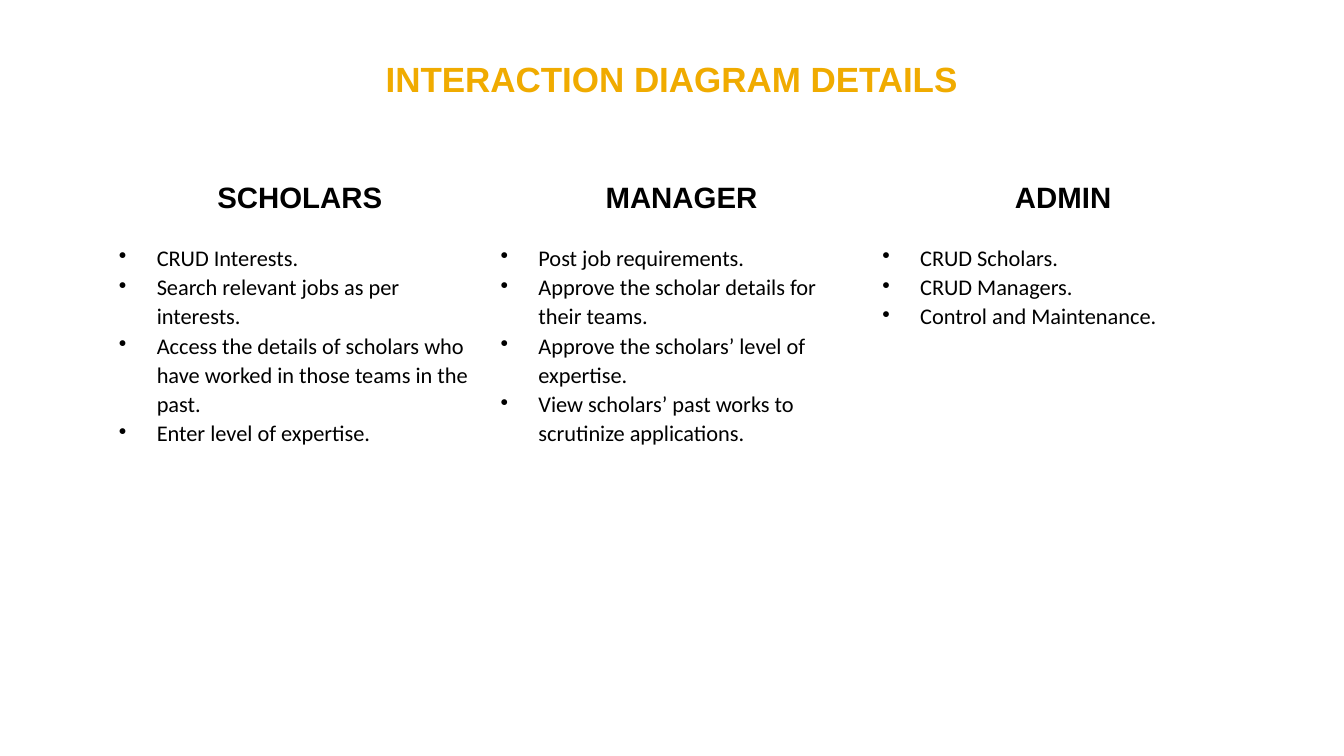
from lxml import etree
from pptx import Presentation
from pptx.dml.color import RGBColor
from pptx.enum import text
from pptx.oxml import ns
from pptx.util import Pt

GOLD = RGBColor(0xF0, 0xAB, 0x00)
BLACK = RGBColor(0x00, 0x00, 0x00)

ROLES = {
    "SCHOLARS": [
        "CRUD Interests.",
        "Search relevant jobs as per interests.",
        "Access the details of scholars who have worked in those teams in the past.",
        "Enter level of expertise.",
    ],
    "MANAGER": [
        "Post job requirements.",
        "Approve the scholar details for their teams.",
        "Approve the scholars’ level of expertise.",
        "View scholars’ past works to scrutinize applications.",
    ],
    "ADMIN": ["CRUD Scholars.", "CRUD Managers.", "Control and Maintenance."],
}


def style(p, name, size, color, bold):
    p.font.name = name
    p.font.size = Pt(size)
    p.font.color.rgb = color
    p.font.bold = bold


prs = Presentation()
prs.slide_width, prs.slide_height = Pt(960.5), Pt(540)
s = prs.slides.add_slide(prs.slide_layouts[5])

title = s.shapes.title
title.left, title.top, title.width, title.height = Pt(39.6), Pt(29.5), Pt(880.6), Pt(53.3)
tf = title.text_frame
tf.margin_left = tf.margin_top = tf.margin_right = tf.margin_bottom = 0
tf.vertical_anchor = text.MSO_ANCHOR.MIDDLE
tf.text = "INTERACTION DIAGRAM DETAILS"
p = tf.paragraphs[0]
p.alignment = text.PP_ALIGN.CENTER
style(p, "Arial", 25, GOLD, True)

table = s.shapes.add_table(2, len(ROLES), Pt(77.8), Pt(126.7), Pt(818.4), Pt(287.3)).table
table.first_row = table.horz_banding = False
table.rows[0].height, table.rows[1].height = Pt(43.2), Pt(244.1)

for col, (role, tasks) in enumerate(ROLES.items()):
    head, body = table.cell(0, col), table.cell(1, col)
    head.fill.background()
    body.fill.background()

    head.text = role
    p = head.text_frame.paragraphs[0]
    p.alignment = text.PP_ALIGN.CENTER
    style(p, "Arial", 21, BLACK, True)

    body.text = "\n".join(tasks)
    for p in body.text_frame.paragraphs:
        style(p, "Calibri", 16, BLACK, False)
        p.line_spacing = 1.07
        pPr = p._p.get_or_add_pPr()
        pPr.set("marL", str(Pt(27)))
        pPr.set("indent", str(-Pt(27)))
        bullet = etree.Element(ns.qn("a:buChar"), char="•")
        pPr.find(ns.qn("a:defRPr")).addprevious(bullet)
    p.space_after = Pt(8)

prs.save("out.pptx")
